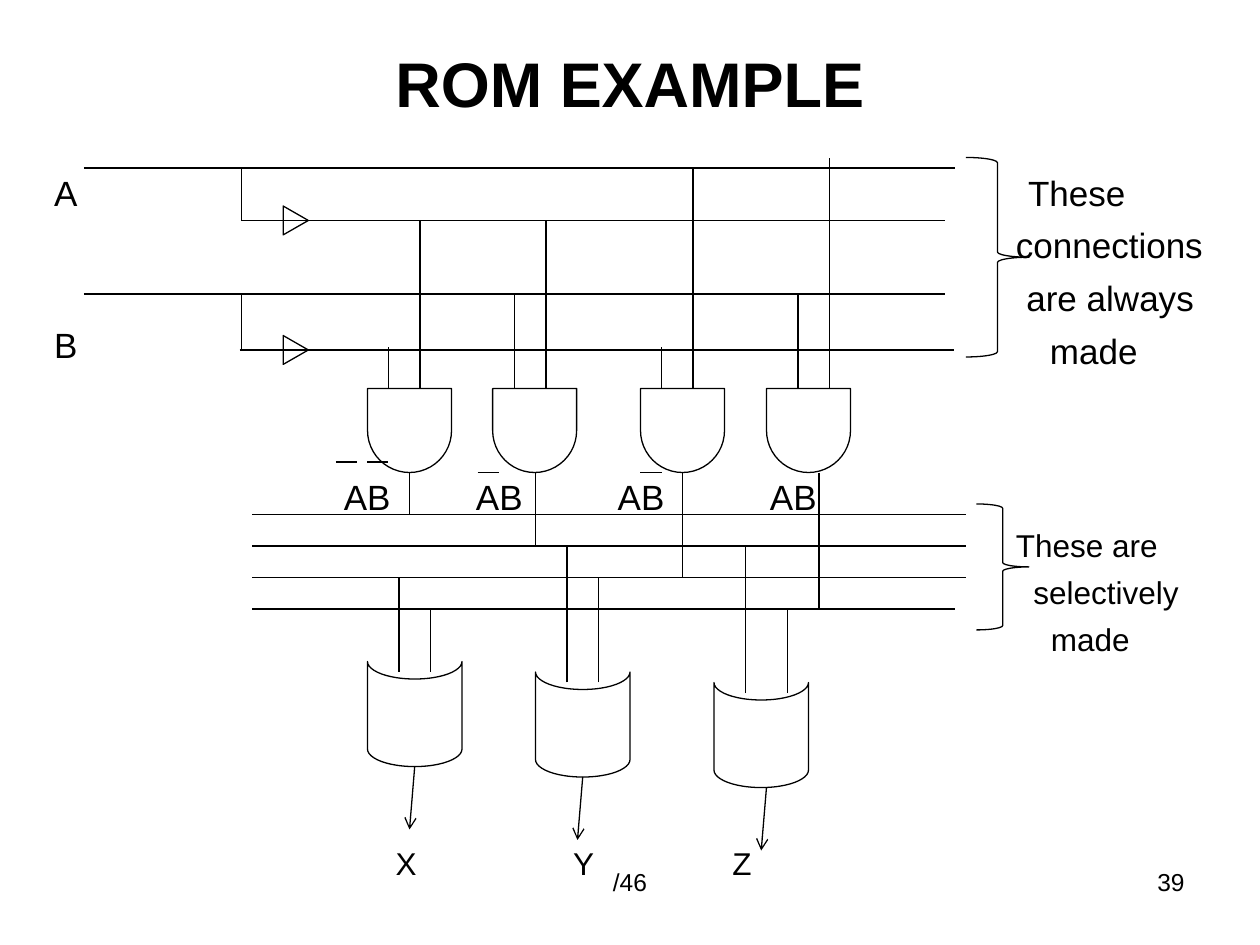
import pptx
import pptx.util
import pptx.dml.color
import pptx.enum.shapes
import pptx.enum.text
from dataclasses import dataclass
from lxml import etree

Pt = pptx.util.Pt
SHAPE = pptx.enum.shapes.MSO_SHAPE
ALIGN = pptx.enum.text.PP_ALIGN
DRAWING = "{http://schemas.openxmlformats.org/drawingml/2006/main}"


@dataclass
class Theme:
    ink: pptx.dml.color.RGBColor = pptx.dml.color.RGBColor(0, 0, 0)
    font: str = "Arial"
    title: float = 36
    label: float = 20
    small: float = 18
    footer: float = 14
    stroke: float = 0.75


theme = Theme()

# Content, in points
TITLE = "ROM EXAMPLE"
A, NOT_A, B, NOT_B = 96, 126, 168, 200
ADDRESS_LINES = [(48, 546, A), (138, 540, NOT_A), (48, 540, B), (137, 545, NOT_B)]
INVERTERS = [(A, NOT_A), (B, NOT_B)]
PRODUCT_LINES = [(144, 552, 294), (144, 552, 312), (144, 552, 330), (144, 546, 348)]
# Gate left, A input x, top of A input, top of B input, label left
AND_GATES = [
    (210, 240, NOT_A, NOT_B - 2, 196.5),
    (281.5, 312, NOT_A, B, 272),
    (366, 396, A, NOT_B - 2, 353),
    (438, 474, A - 6, B, 440),
]
# Left and y of each overline
OVERLINES = [(192, 264), (210, 264), (273, 270), (366, 270)]
# Centre, output x, inputs as (x, product line), output name and its left
OR_GATES = [
    (237, 408, 237, [(228, 2), (246, 3)], "X", 226),
    (333, 414, 333, [(324, 1), (342, 2)], "Y", 327.5),
    (435, 420, 438, [(426, 1), (450, 3)], "Z", 418.5),
]
INPUT_NAMES = [("A", 98), ("B", 185)]
# Brace frame, text top, type size, space before, lines with indents
NOTES = [
    ((552, 90, 36, 114), 98, theme.label, 6,
     [("These", 7), ("connections", 0), ("are always", 6), ("made", 19.5)]),
    ((558, 288, 30, 72), 300.5, theme.small, 5.2,
     [("These are", 0), ("selectively", 10), ("made", 20)]),
]
FOOTERS = [("/46", 246, 228, ALIGN.CENTER), ("39", 516, 168, ALIGN.RIGHT)]
GATE_TOP, GATE_SIZE = 222, 48
NOTE_LEFT = 580.5

deck = pptx.Presentation()
deck.slide_width, deck.slide_height = Pt(720), Pt(540)
page = deck.slides.add_slide(deck.slide_layouts[5])


def write(para, text, size=theme.label, bold=False, align=ALIGN.LEFT, before=0, indent=0):
    if indent:
        para._p.get_or_add_pPr().set("marL", str(Pt(indent)))
    para.alignment = align
    para.space_before = Pt(before)
    span = para.add_run()
    span.text = text
    span.font.name = theme.font
    span.font.size = Pt(size)
    span.font.bold = bold
    span.font.color.rgb = theme.ink


def text_box(left, top, width, height, margin=0):
    frame = page.shapes.add_textbox(Pt(left), Pt(top), Pt(width), Pt(height)).text_frame
    frame.word_wrap = True
    frame.margin_left = frame.margin_right = Pt(margin)
    frame.margin_top = frame.margin_bottom = Pt(margin / 2)
    return frame


def label(text, left, top):
    write(text_box(left, top, 36, 24).paragraphs[0], text)


def wire(x1, y1, x2, y2, arrow=False):
    line = page.shapes.add_connector(
        pptx.enum.shapes.MSO_CONNECTOR.STRAIGHT, Pt(x1), Pt(y1), Pt(x2), Pt(y2))
    line.line.color.rgb = theme.ink
    line.line.width = Pt(theme.stroke)
    if arrow:
        etree.SubElement(line.line._get_or_add_ln(), DRAWING + "tailEnd", type="arrow")
    etree.SubElement(line._element.spPr, DRAWING + "effectLst")


def outline(kind, left, top, width, height, rotation=0):
    shape = page.shapes.add_shape(kind, Pt(left), Pt(top), Pt(width), Pt(height))
    shape.rotation = rotation
    shape.shadow.inherit = False
    shape.fill.background()
    shape.line.color.rgb = theme.ink
    shape.line.width = Pt(theme.stroke)


# Title
title = page.shapes.title
title.left, title.top, title.width, title.height = Pt(36), Pt(21.6), Pt(648), Pt(50.4)
title.text_frame.vertical_anchor = pptx.enum.text.MSO_ANCHOR.MIDDLE
write(title.text_frame.paragraphs[0], TITLE, size=theme.title, bold=True, align=ALIGN.CENTER)

# Address lines and inverters
for left, right, y in ADDRESS_LINES + PRODUCT_LINES:
    wire(left, y, right, y)
for source, inverted in INVERTERS:
    wire(138, source, 138, inverted)
    outline(SHAPE.ISOSCELES_TRIANGLE, 160.75, inverted - 7.2, 16.5, 14.4, rotation=90)
for name, top in INPUT_NAMES:
    label(name, 31, top)

# AND gates, each feeding its own product line
for (left, a_x, a_top, b_top, label_left), (_, _, product_y) in zip(AND_GATES, PRODUCT_LINES):
    outline(SHAPE.FLOWCHART_DELAY, left, GATE_TOP, GATE_SIZE, GATE_SIZE, rotation=90)
    wire(a_x, GATE_TOP, a_x, a_top)
    wire(a_x - 18, GATE_TOP, a_x - 18, b_top)
    wire(a_x - 6, GATE_TOP + GATE_SIZE, a_x - 6, product_y)
    label("AB", label_left, 271.5)
for left, y in OVERLINES:
    wire(left, y, left + 12, y)

# OR gates and outputs
for x, y, output_x, inputs, name, name_left in OR_GATES:
    outline(SHAPE.FLOWCHART_STORED_DATA, x - 30, y - 27, 60, 54, rotation=270)
    for input_x, product in inputs:
        wire(input_x, y - 24, input_x, PRODUCT_LINES[product][2])
    wire(output_x, y + 30, output_x - 3, y + 66, arrow=True)
    write(text_box(name_left, 482.5, 24, 22).paragraphs[0], name, size=theme.small)

# Braces with notes
for brace, top, size, gap, lines in NOTES:
    outline(SHAPE.RIGHT_BRACE, *brace)
    frame = text_box(NOTE_LEFT, top, 125, len(lines) * (size * 1.15 + gap))
    for index, (text, indent) in enumerate(lines):
        para = frame.add_paragraph() if index else frame.paragraphs[0]
        write(para, text, size=size, before=gap if index else 0, indent=indent)

# Page numbers
for text, left, width, align in FOOTERS:
    write(text_box(left, 492, width, 37.5, margin=7.2).paragraphs[0], text,
          size=theme.footer, align=align)

deck.save("out.pptx")
